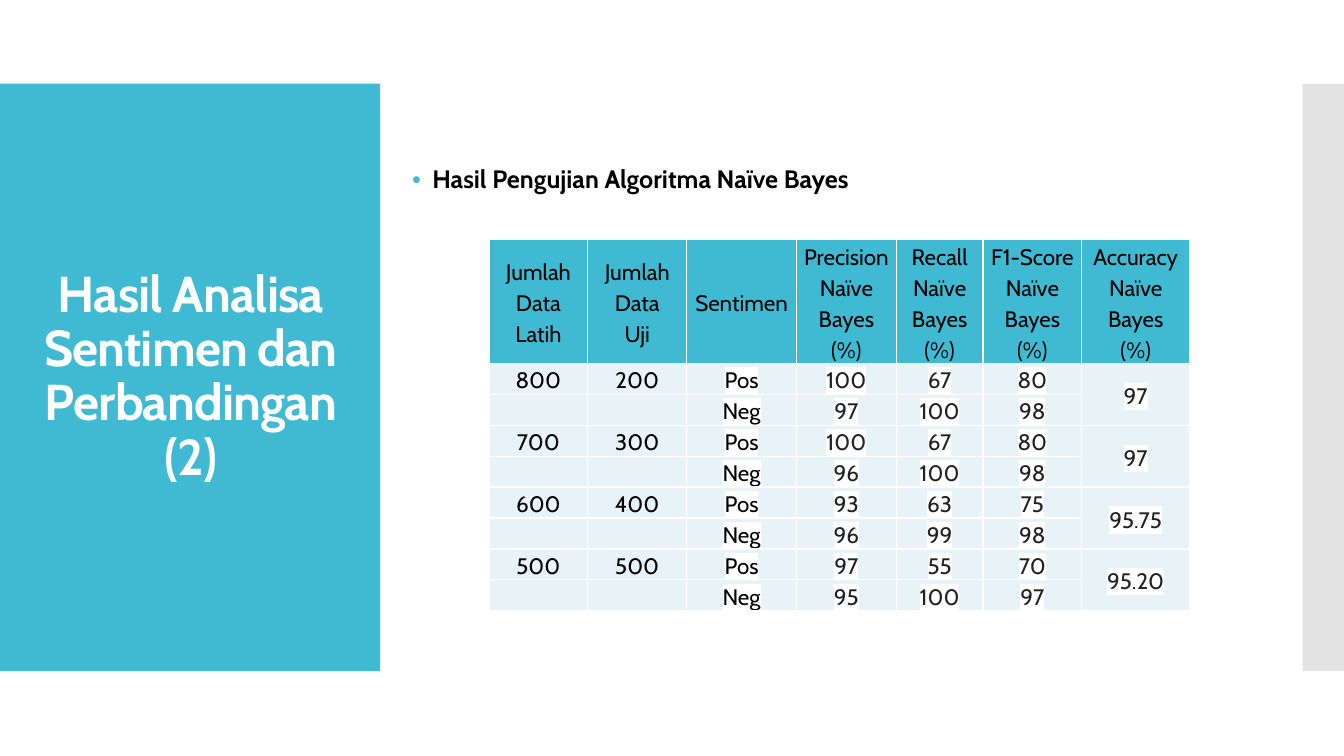
from lxml import etree
from pptx import Presentation
from pptx.dml.color import RGBColor
from pptx.enum.shapes import MSO_SHAPE
from pptx.enum.text import MSO_ANCHOR, PP_ALIGN
from pptx.oxml.ns import qn
from pptx.util import Inches, Pt

RECTANGLE = MSO_SHAPE.RECTANGLE
TOP, MIDDLE = MSO_ANCHOR.TOP, MSO_ANCHOR.MIDDLE
LEFT, CENTER = PP_ALIGN.LEFT, PP_ALIGN.CENTER

TEAL = RGBColor(0x40, 0xBA, 0xD2)
GREY = RGBColor(0xC8, 0xC8, 0xC8)
PALE = RGBColor(0xE8, 0xF3, 0xF7)
INK = RGBColor(0x21, 0x21, 0x21)
BLACK = RGBColor(0, 0, 0)
WHITE = RGBColor(0xFF, 0xFF, 0xFF)

FONT = "Cabin"
TABLE_SIZE = 16
TITLE = "Hasil Analisa Sentimen dan Perbandingan (2)"
SUBTITLE = "Hasil Pengujian Algoritma Naïve Bayes"
METRICS = ["Precision", "Recall", "F1-Score", "Accuracy"]
HEADERS = [["Jumlah", "Data", "Latih"], ["Jumlah", "Data", "Uji"], ["Sentimen"]]
HEADERS += [[metric, "Naïve Bayes", "(%)"] for metric in METRICS]
RESULTS = [
    ["800", "200", "Pos", "100", "67", "80", "97"],
    ["", "", "Neg", "97", "100", "98", ""],
    ["700", "300", "Pos", "100", "67", "80", "97"],
    ["", "", "Neg", "96", "100", "98", ""],
    ["600", "400", "Pos", "93", "63", "75", "95.75"],
    ["", "", "Neg", "96", "99", "98", ""],
    ["500", "500", "Pos", "97", "55", "70", "95.20"],
    ["", "", "Neg", "95", "100", "97", ""],
]
COLUMN_WIDTHS = [0.98, 0.98, 1.09, 0.99, 0.86, 0.98, 1.07]
ROW_HEIGHTS = [1.19] + [0.26] * len(RESULTS)
SENTIMENT, ACCURACY = 2, 6


def apply(target, values):
    """Set each named attribute on the target."""
    for name, value in values.items():
        setattr(target, name, value)


def add_colour(parent, tag, colour):
    """Append an element that holds one RGB colour and return the colour."""
    holder = etree.SubElement(parent, qn(tag))
    return etree.SubElement(holder, qn("a:srgbClr"), val=str(colour))


def write(para, text, size, colour, bold=False):
    """Add a styled run to a paragraph and return its run properties."""
    span = para.add_run()
    span.text = text
    apply(span.font, {"name": FONT, "size": Pt(size), "bold": bold})
    span.font.color.rgb = colour
    return span.font.color._xFill.getparent()


def add_panel(page, area, colour, opacity=100):
    """Draw a flat rectangle with an optional opacity in percent."""
    panel = page.shapes.add_shape(RECTANGLE, *map(Inches, area))
    panel.shadow.inherit = False
    panel.fill.solid()
    panel.fill.fore_color.rgb = colour
    panel.line.fill.background()
    if opacity < 100:
        tone = panel._element.spPr.find(qn("a:solidFill"))[0]
        etree.SubElement(tone, qn("a:alpha"), val=str(opacity * 1000))


def add_text(page, area, text, size, colour, anchor, layout):
    """Add a bold wrapped text box and return its paragraph and run properties."""
    box = page.shapes.add_textbox(*map(Inches, area))
    apply(box.text_frame, {"word_wrap": True, "vertical_anchor": anchor})
    para = box.text_frame.paragraphs[0]
    apply(para, {"line_spacing": 0.9, **layout})
    return para, write(para, text, size, colour, True)


def add_bullet(para, colour):
    """Give a paragraph a coloured round bullet with a hanging indent."""
    properties = para._p.get_or_add_pPr()
    indent = Inches(0.2)
    properties.set("marL", str(indent))
    properties.set("indent", str(-indent))
    add_colour(properties, "a:buClr", colour)
    etree.SubElement(properties, qn("a:buFont"), typeface="Arial")
    etree.SubElement(properties, qn("a:buChar"), char="•")


def highlight(properties):
    """Put a white highlight behind a run."""
    add_colour(properties, "a:highlight", WHITE)
    properties.find(qn("a:solidFill")).addnext(properties[-1])


def style_cell(cell, fill, anchor):
    """Set borders, fill, margins and anchor of a table cell."""
    edges = cell._tc.get_or_add_tcPr()
    for side in ("a:lnL", "a:lnR", "a:lnT", "a:lnB"):
        line = etree.SubElement(edges, qn(side), w=str(Pt(1)))
        add_colour(line, "a:solidFill", WHITE)
    cell.fill.solid()
    cell.fill.fore_color.rgb = fill
    side_margin = Inches(0.07)
    apply(cell, {"margin_left": side_margin, "margin_right": side_margin,
                 "margin_top": 0, "margin_bottom": 0, "vertical_anchor": anchor})


def fill_cell(cell, lines, colour, marked=False):
    """Write centred lines into a cell, one paragraph for each."""
    frame = cell.text_frame
    for index, text in enumerate(lines):
        para = frame.add_paragraph() if index else frame.paragraphs[0]
        apply(para, {"alignment": CENTER, "line_spacing": 1.15})
        if not text:
            etree.SubElement(para._p, qn("a:endParaRPr"), sz=str(TABLE_SIZE * 100))
            continue
        properties = write(para, text, TABLE_SIZE, colour)
        if marked:
            highlight(properties)


def add_results(page, left, top):
    """Build the table of test results."""
    size = sum(COLUMN_WIDTHS), sum(ROW_HEIGHTS)
    frame = page.shapes.add_table(len(ROW_HEIGHTS), len(COLUMN_WIDTHS),
                                  *map(Inches, (left, top, *size)))
    table = frame.table
    apply(table, {"first_row": False, "horz_banding": False})
    for column, width in zip(table.columns, COLUMN_WIDTHS):
        column.width = Inches(width)
    for row, height in zip(table.rows, ROW_HEIGHTS):
        row.height = Inches(height)
    for column, lines in enumerate(HEADERS):
        style_cell(table.cell(0, column), TEAL, MIDDLE)
        fill_cell(table.cell(0, column), lines, BLACK)
    for row, values in enumerate(RESULTS, 1):
        for column, value in enumerate(values):
            cell = table.cell(row, column)
            style_cell(cell, PALE, MIDDLE if column == ACCURACY else TOP)
            colour = INK if column > SENTIMENT else BLACK
            fill_cell(cell, [value], colour, column >= SENTIMENT)
    for row in range(1, len(ROW_HEIGHTS), 2):
        table.cell(row, ACCURACY).merge(table.cell(row + 1, ACCURACY))


def main():
    """Build the slide and save it."""
    deck = Presentation()
    apply(deck, {"slide_width": Inches(13.33), "slide_height": Inches(7.5)})
    page = deck.slides.add_slide(deck.slide_layouts[6])
    add_panel(page, (0, 0.83, 3.77, 5.83), TEAL)
    add_panel(page, (12.92, 0.83, 0.41, 5.83), GREY, 50)
    _, title = add_text(page, (0.28, 1.23, 3.22, 5.03), TITLE, 36, WHITE,
                        MIDDLE, {"alignment": CENTER})
    title.set("spc", "-60")
    para, _ = add_text(page, (3.99, 1.61, 8.67, 0.53), SUBTITLE, 18, BLACK,
                       TOP, {"alignment": LEFT, "space_before": Pt(12)})
    add_bullet(para, TEAL)
    add_results(page, 4.85, 2.38)
    deck.save("out.pptx")


if __name__ == "__main__":
    main()
